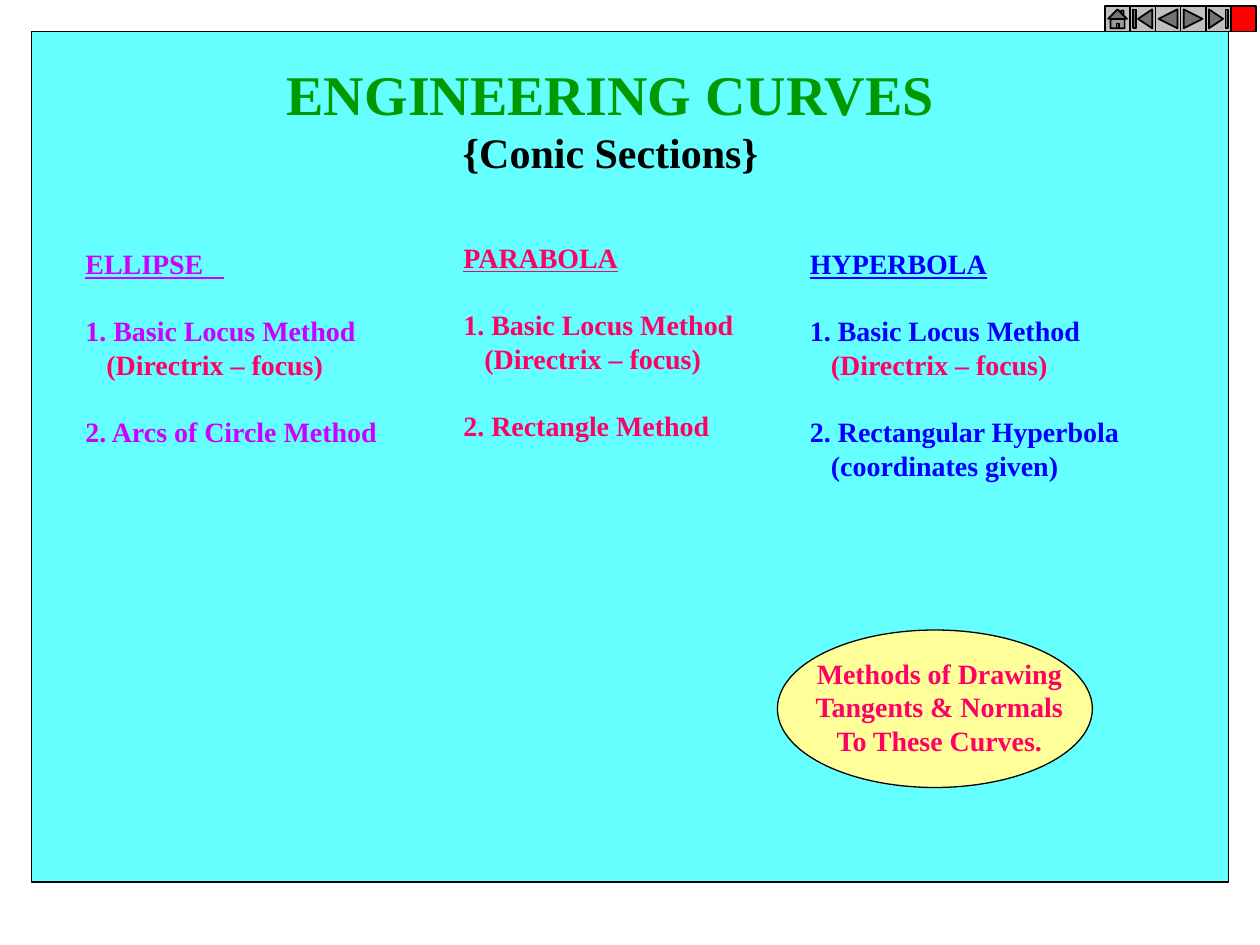
from pptx import Presentation
from pptx.dml.color import RGBColor
from pptx.enum.shapes import MSO_SHAPE
from pptx.enum.text import MSO_ANCHOR, MSO_AUTO_SIZE, PP_ALIGN
from pptx.util import Inches, Pt

COLORS = {
    "panel": "66FFFF", "black": "000000", "green": "009900", "purple": "CC00FF",
    "pink": "FF0066", "blue": "0000FF", "yellow": "FFFF99", "gray": "C0C0C0", "red": "FF0000",
}
LINE_RATIO = 1.2

presentation = Presentation()
presentation.slide_width, presentation.slide_height = Inches(10), Inches(7.5)
slide = presentation.slides.add_slide(presentation.slide_layouts[5])

# Grid of 40 columns by 30 rows
column = presentation.slide_width / 40
row = presentation.slide_height / 30


def add_figure(shapes, kind, left, top, width, height, fill, weight=0.75):
    shape = shapes.add_shape(kind, int(left * column), int(top * row),
                             int(width * column), int(height * row))
    shape.shadow.inherit = False
    shape.fill.solid()
    shape.fill.fore_color.rgb = RGBColor.from_string(COLORS[fill])
    shape.line.color.rgb = RGBColor.from_string(COLORS["black"])
    shape.line.width = Pt(weight)


def write_lines(shape, lines, align):
    """Each line is (text, size, color, underline, indented, gap before)."""
    frame = shape.text_frame
    frame.word_wrap = False
    frame.auto_size = MSO_AUTO_SIZE.NONE
    frame.vertical_anchor = MSO_ANCHOR.TOP
    for number, (text, size, color, underline, indented, gap) in enumerate(lines):
        paragraph = frame.add_paragraph() if number else frame.paragraphs[0]
        paragraph.alignment = align
        paragraph.line_spacing = Pt(size * LINE_RATIO)
        paragraph.space_before = Pt(size * LINE_RATIO if gap else 0)
        if indented:
            paragraph._p.get_or_add_pPr().set("marL", str(Pt(12)))
        run = paragraph.add_run()
        run.text = text
        run.font.name = "Times New Roman"
        run.font.size = Pt(size)
        run.font.bold = True
        run.font.underline = underline
        run.font.color.rgb = RGBColor.from_string(COLORS[color])


# Background panel, placed behind the title
add_figure(slide.shapes, MSO_SHAPE.RECTANGLE, 1, 1, 38, 27, "panel")
title = slide.shapes.title
slide.shapes._spTree.append(title._element)

# Title
title.left, title.top = int(8.6 * column), int(1.68 * row)
title.width, title.height = int(21.56 * column), int(4.16 * row)
write_lines(title, [
    ("ENGINEERING CURVES", 32, "green", False, False, False),
    ("{Conic Sections}", 24, "black", False, False, False),
], PP_ALIGN.CENTER)

# Curve columns: left, top, width, height, color, heading, focus color, second method
curves = [
    (2.32, 7.64, 10.2, 7.96, "purple", "ELLIPSE   ", "pink", ["2. Arcs of Circle Method"]),
    (25.32, 7.64, 10.76, 9.04, "blue", "HYPERBOLA", "pink",
     ["2. Rectangular Hyperbola", "(coordinates given)"]),
    (14.32, 7.44, 9.48, 7.96, "pink", "PARABOLA", "pink", ["2. Rectangle Method"]),
]
for left, top, width, height, color, heading, focus_color, method in curves:
    box = slide.shapes.add_textbox(int(left * column), int(top * row),
                                   int(width * column), int(height * row))
    lines = [
        (heading, 16, color, True, False, False),
        ("1. Basic Locus Method", 16, color, False, False, True),
        ("(Directrix – focus)", 16, focus_color, False, True, False),
    ]
    for number, text in enumerate(method):
        lines.append((text, 16, color, False, number > 0, number == 0))
    write_lines(box, lines, PP_ALIGN.LEFT)

# Tangents and normals callout
add_figure(slide.shapes, MSO_SHAPE.OVAL, 24.68, 20, 10, 5, "yellow")
callout = slide.shapes.add_textbox(int(25.44 * column), int(20.64 * row),
                                   int(8.76 * column), int(3.6 * row))
callout_lines = ["Methods of Drawing", "Tangents & Normals", "To These Curves."]
write_lines(callout, [(text, 16, "pink", False, False, False) for text in callout_lines],
            PP_ALIGN.CENTER)

# Navigation buttons
buttons = [
    (MSO_SHAPE.ACTION_BUTTON_HOME, "gray"),
    (MSO_SHAPE.ACTION_BUTTON_BEGINNING, "gray"),
    (MSO_SHAPE.ACTION_BUTTON_BACK_OR_PREVIOUS, "gray"),
    (MSO_SHAPE.ACTION_BUTTON_FORWARD_OR_NEXT, "gray"),
    (MSO_SHAPE.ACTION_BUTTON_END, "gray"),
    (MSO_SHAPE.ACTION_BUTTON_CUSTOM, "red"),
]
navigation = slide.shapes.add_group_shape()
for number, (kind, fill) in enumerate(buttons):
    add_figure(navigation.shapes, kind, 35.08 + 0.8 * number, 0.2, 0.8, 0.8, fill, 1)

presentation.save("out.pptx")
